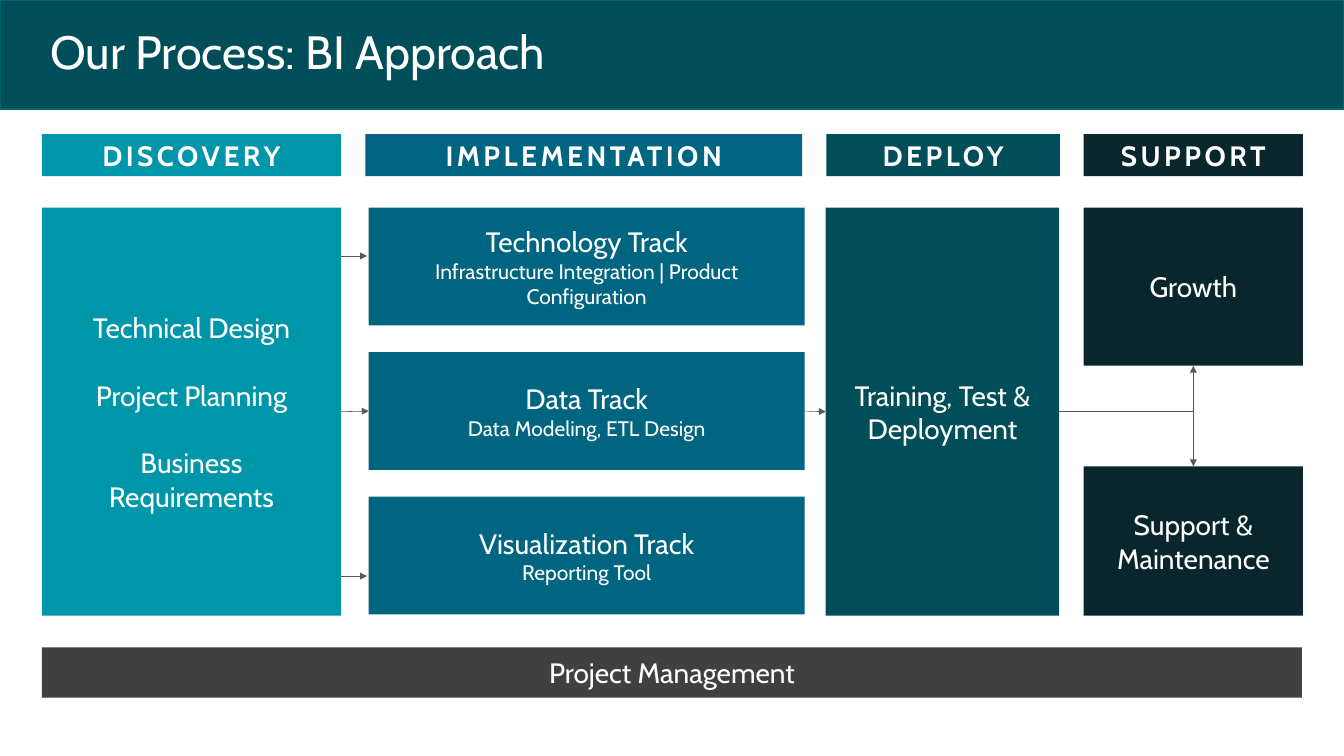
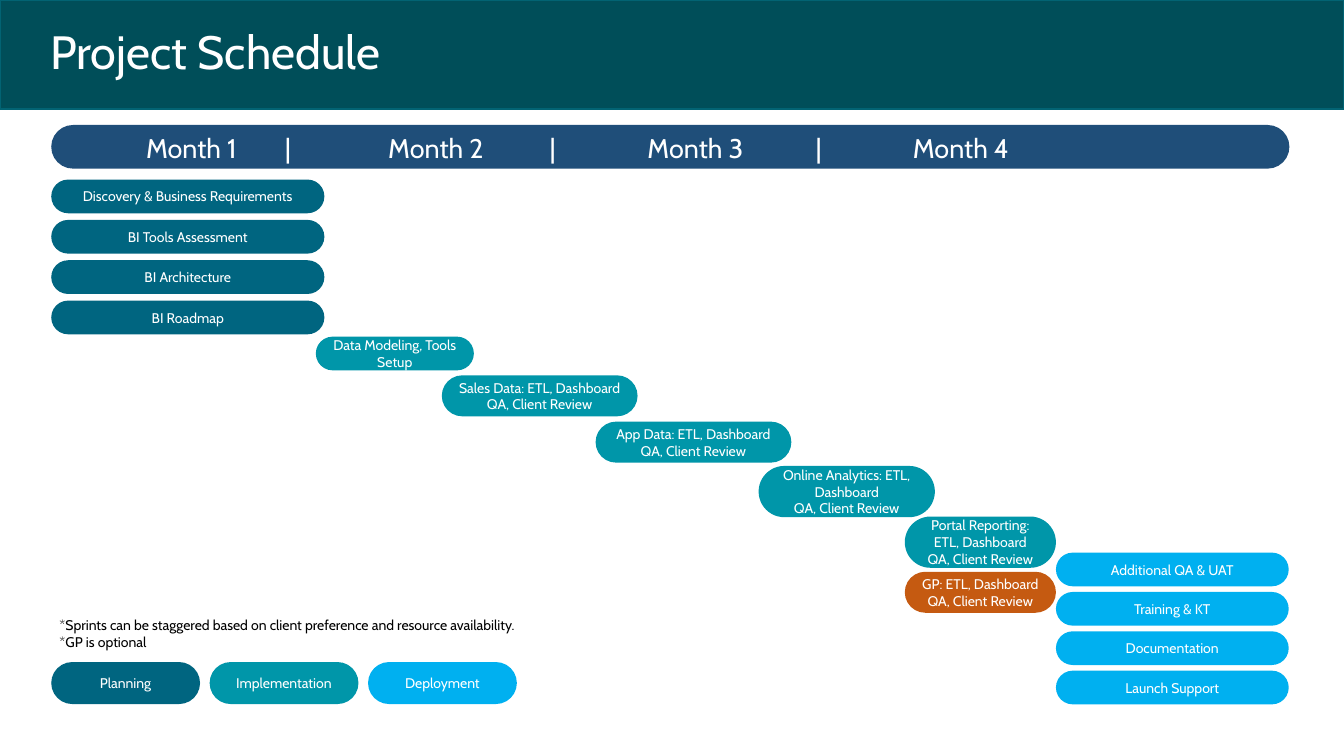
from lxml.etree import SubElement
from pptx import Presentation
from pptx.dml.color import RGBColor
from pptx.enum.shapes import MSO_CONNECTOR as Link, MSO_SHAPE as Form
from pptx.enum.text import MSO_ANCHOR as Anchor, PP_ALIGN as Align
from pptx.oxml.ns import qn
from pptx.util import Cm, Pt

FONT = "Cabin"
WHITE = RGBColor(0xFF, 0xFF, 0xFF)
BLACK = RGBColor(0x00, 0x00, 0x00)
PINE = RGBColor(0x00, 0x4E, 0x59)
EDGE = RGBColor(0x02, 0x63, 0x73)
TEAL = RGBColor(0x00, 0x96, 0xA9)
BLUE = RGBColor(0x00, 0x65, 0x80)
NIGHT = RGBColor(0x08, 0x26, 0x2C)
NAVY = RGBColor(0x1F, 0x4E, 0x79)
SKY = RGBColor(0x00, 0xB0, 0xF0)
RUST = RGBColor(0xC5, 0x5A, 0x11)
COAL = RGBColor(0x40, 0x40, 0x40)
GREY = RGBColor(0x59, 0x59, 0x59)

PHASES = [
    ("DISCOVERY", 0, 9.04, TEAL),
    ("IMPLEMENTATION", 9.78, 13.21, BLUE),
    ("DEPLOY", 23.72, 7.06, PINE),
    ("SUPPORT", 31.5, 6.63, NIGHT),
]
TRACKS = [
    "Technology Track\nInfrastructure Integration | Product Configuration",
    "Data Track\nData Modeling, ETL Design",
    "Visualization Track\nReporting Tool",
]
PLANS = ["Discovery & Business Requirements", "BI Tools Assessment",
         "BI Architecture", "BI Roadmap"]
SPRINTS = [
    ("Data Modeling, Tools Setup", 8, 6.4, 4.78, 1.02, TEAL),
    ("Sales Data: ETL, Dashboard\nQA, Client Review", 11.81, 7.57, 5.92, 1.24, TEAL),
    ("App Data: ETL, Dashboard\nQA, Client Review", 16.46, 8.97, 5.92, 1.24, TEAL),
    ("Online Analytics: ETL, Dashboard\nQA, Client Review", 21.39, 10.31, 5.33, 1.55, TEAL),
    ("Portal Reporting: ETL, Dashboard\nQA, Client Review", 25.81, 11.84, 4.57, 1.55, TEAL),
    ("GP: ETL, Dashboard\nQA, Client Review", 25.81, 13.51, 4.57, 1.24, RUST),
]
ROLLOUT = ["Additional QA & UAT", "Training & KT", "Documentation", "Launch Support"]
LEGEND = [("Planning", BLUE), ("Implementation", TEAL), ("Deployment", SKY)]
MONTHS = "\tMonth 1\t|\tMonth 2\t|\tMonth 3\t|\tMonth 4"
STOPS = [3.2, 6.12, 10.59, 14.12, 18.44, 22.17, 26.47]


def write(shape, text, size, color=WHITE, align=Align.CENTER, stops=()):
    """Fill a shape with one paragraph per line and return the paragraphs."""
    frame = shape.text_frame
    frame.word_wrap = True
    frame.text = text
    for para in frame.paragraphs:
        para.alignment = align
        if stops:
            tabs = SubElement(para._p.get_or_add_pPr(), qn("a:tabLst"))
            for stop in stops:
                SubElement(tabs, qn("a:tab"), pos=str(Cm(stop)), algn="ctr")
        para.font.name = FONT
        para.font.size = Pt(size)
        para.font.color.rgb = color
    return frame.paragraphs


def block(slide, x, y, w, h, fill, form=Form.RECTANGLE):
    """Draw a plain filled shape."""
    shape = slide.shapes.add_shape(form, Cm(x), Cm(y), Cm(w), Cm(h))
    shape.shadow.inherit = False
    shape.fill.solid()
    shape.fill.fore_color.rgb = fill
    shape.line.fill.background()
    shape.text_frame.vertical_anchor = Anchor.MIDDLE
    return shape


def panel(slide, x, y, w, h, fill, text):
    """Draw a rectangle with large centred text."""
    shape = block(slide, x, y, w, h, fill)
    write(shape, text, 24)
    return shape


def pill(slide, x, y, w, h, fill, text=""):
    """Draw a fully rounded bar with small centred text."""
    shape = block(slide, x, y, w, h, fill, Form.ROUNDED_RECTANGLE)
    shape.adjustments[0] = 0.5
    if text:
        write(shape, text, 12)


def label(slide, x, y, w, h, text, size, **style):
    """Place a text box."""
    box = slide.shapes.add_textbox(Cm(x), Cm(y), Cm(w), Cm(h))
    write(box, text, size, **style)
    return box


def link(slide, x1, y1, x2, y2, ends=("tailEnd",)):
    """Draw a thin straight line with arrowheads at the named ends."""
    line = slide.shapes.add_connector(Link.STRAIGHT, Cm(x1), Cm(y1), Cm(x2), Cm(y2))
    line.line.color.rgb = GREY
    line.line.width = Pt(0.5)
    for end in ends:
        SubElement(line.line._get_or_add_ln(), qn(f"a:{end}"), type="triangle")
    SubElement(line._element.spPr, qn("a:effectLst"))
    return line


def join(slide, start, side, goal, face, **style):
    """Link the middle of one shape's side to another's."""
    line = link(slide, 0, 0, 1, 1, **style)
    line.begin_connect(start, side)
    line.end_connect(goal, face)


def header(slide, title):
    """Draw the title band shared by all slides."""
    band = block(slide, 0, 0, 40.64, 3.3, PINE)
    band.line.color.rgb = EDGE
    band.line.width = Pt(1)
    box = label(slide, 1.27, 0.76, 38.1, 1.78, title, 40, align=Align.LEFT)
    box.text_frame.vertical_anchor = Anchor.MIDDLE
    box.text_frame.paragraphs[0].line_spacing = 0.9


def process(slide, x, y, w, h):
    """Draw the four phases, their contents and the management bar."""
    for name, dx, wide, fill in PHASES:
        head = panel(slide, x + dx, y, wide, 1.27, fill, name)
        para = head.text_frame.paragraphs[0]
        para.font.bold = True
        para.runs[0]._r.get_or_add_rPr().set("spc", "300")

    top, tall = y + 2.22, 12.34
    design = panel(slide, x, top, 9.04, tall, TEAL,
                   "Technical Design\nProject Planning\nBusiness\nRequirements")
    for para in design.text_frame.paragraphs[1:3]:
        para.space_before = Pt(29)
    tracks = []
    for row, text in enumerate(TRACKS):
        track = panel(slide, x + 9.88, top + row * 4.37, 13.18, 3.56, BLUE, text)
        track.text_frame.paragraphs[1].font.size = Pt(18)
        tracks.append(track)
    deploy = panel(slide, x + 23.7, top, 7.06, tall, PINE, "Training, Test & Deployment")
    growth = panel(slide, x + 31.5, top, 6.63, 4.78, NIGHT, "Growth")
    care = panel(slide, x + 31.5, top + 7.82, 6.63, 4.52, NIGHT, "Support & Maintenance")
    panel(slide, x, y + h - 1.52, w, 1.52, COAL, "Project Management")

    for dy in (3.68, 13.36):
        link(slide, x + 9.04, y + dy, x + 9.83, y + dy)
    join(slide, design, 3, tracks[1], 1)
    join(slide, tracks[1], 3, deploy, 1)
    join(slide, growth, 2, care, 0, ends=("headEnd", "tailEnd"))
    mid = top + tall / 2
    stem = link(slide, x + 30.76, mid, x + 34.81, mid, ends=())
    stem.begin_connect(deploy, 3)


def months(slide, x, y, w, h):
    """Draw the month bar."""
    pill(slide, x, y, w, h, NAVY)
    label(slide, x + 0.79, y + 0.08, w - 0.79, h - 0.08, MONTHS, 23.1,
          align=Align.LEFT, stops=STOPS)


def tasks(slide, x, y, w):
    """Draw the staggered task bars below the month bar."""
    for row, text in enumerate(PLANS):
        pill(slide, x, y + 1.65 + row * 1.22, 8.26, 1.02, BLUE, text)
    for text, dx, dy, wide, tall, fill in SPRINTS:
        pill(slide, x + dx, y + dy, wide, tall, fill, text)
    for row, text in enumerate(ROLLOUT):
        pill(slide, x + w - 7.06, y + 12.93 + row * 1.19, 7.04, 1.02, SKY, text)


def legend(slide, x, y, w):
    """Place the notes and the colour key."""
    label(slide, x, y, w, 1.27,
          "*Sprints can be staggered based on client preference and resource availability."
          "\n*GP is optional", 12, color=BLACK, align=Align.LEFT)
    for col, (text, fill) in enumerate(LEGEND):
        pill(slide, x + col * 4.79, y + 1.5, 4.5, 1.27, fill, text)


def main():
    """Build and save the two slides."""
    deck = Presentation()
    deck.slide_width, deck.slide_height = Cm(40.64), Cm(22.86)
    blank = deck.slide_layouts[6]

    slide = deck.slides.add_slide(blank)
    header(slide, "Our Process: BI Approach")
    process(slide, 1.27, 4.06, 38.1, 17.04)

    slide = deck.slides.add_slide(blank)
    header(slide, "Project Schedule")
    months(slide, 1.55, 3.78, 37.44, 1.32)
    tasks(slide, 1.55, 3.78, 37.44)
    legend(slide, 1.55, 18.52, 17.91)
    deck.save("out.pptx")


if __name__ == "__main__":
    main()
